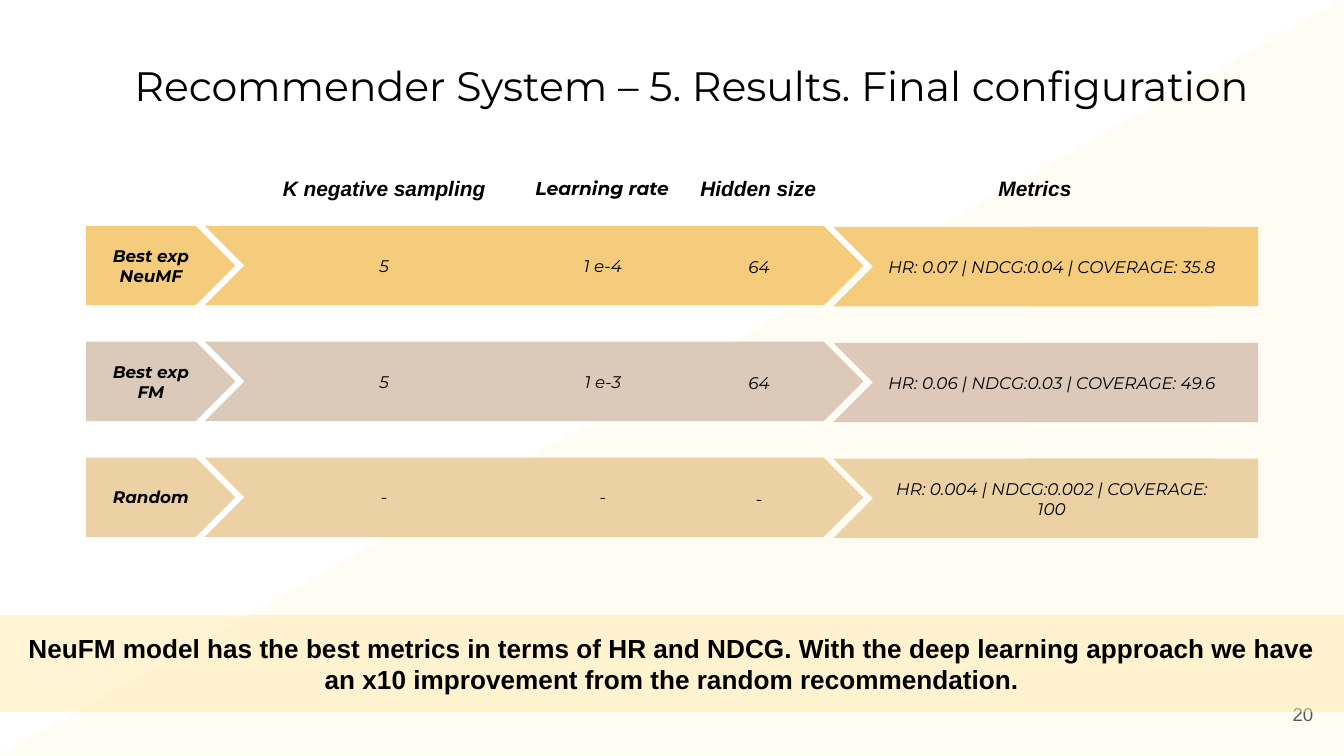
"""Build a slide comparing the final recommender configurations."""
from dataclasses import dataclass

from lxml import etree
from pptx import Presentation
from pptx.dml.color import RGBColor
from pptx.enum.shapes import MSO_SHAPE
from pptx.enum.text import MSO_ANCHOR, MSO_AUTO_SIZE, PP_ALIGN
from pptx.oxml.ns import qn
from pptx.util import Cm, Pt

TRIANGLE = MSO_SHAPE.RIGHT_TRIANGLE
PENTAGON = MSO_SHAPE.PENTAGON
CHEVRON = MSO_SHAPE.CHEVRON
RECTANGLE = MSO_SHAPE.RECTANGLE
TOP, MIDDLE = MSO_ANCHOR.TOP, MSO_ANCHOR.MIDDLE
LEFT, CENTER, RIGHT = PP_ALIGN.LEFT, PP_ALIGN.CENTER, PP_ALIGN.RIGHT
NO_AUTOFIT = MSO_AUTO_SIZE.NONE

BLACK = RGBColor(0x00, 0x00, 0x00)
GRAY = RGBColor(0x59, 0x59, 0x59)
IVORY = RGBColor(0xFF, 0xFC, 0xF4)
CREAM = RGBColor(0xFF, 0xEA, 0xAB)
AMBER = RGBColor(0xF5, 0xCB, 0x7C)
TAUPE = RGBColor(0xDB, 0xCA, 0xB9)
ROSE = RGBColor(0xDD, 0xC8, 0xB9)
DUSTY_ROSE = RGBColor(0xDC, 0xC9, 0xB9)
SAND = RGBColor(0xEB, 0xD1, 0xA3)

SANS, DISPLAY = "Arial", "Montserrat"
ROW_TOP, ROW_PITCH, ROW_HEIGHT = 4.27, 2.19, 1.5
HEADER_TOP, HEADER_WIDTH, HEADER_HEIGHT = 3.03, 4.52, 1.04
VALUE_COLUMNS = ((4.39, 5.74, 0), (9.78, 3.23, 0), (12.73, 3.23, 0.03), (16.41, 6.93, 0.03))


@dataclass(frozen=True)
class Header:
    text: str
    left: float
    font: str = SANS
    size: float = 11.2


@dataclass(frozen=True)
class Experiment:
    name: str
    values: tuple[str, ...]
    color: RGBColor
    metrics_color: RGBColor
    end_color: RGBColor


HEADERS = (
    Header("K negative sampling", 5.0),
    Header("Learning rate", 9.12, DISPLAY, 10),
    Header("Hidden size", 12.07),
    Header("Metrics", 17.3),
)
EXPERIMENTS = (
    Experiment("Best exp NeuMF", ("5", "1 e-4", "64", "HR: 0.07 | NDCG:0.04 | COVERAGE: 35.8"),
               AMBER, AMBER, AMBER),
    Experiment("Best exp\nFM", ("5", "1 e-3", "64", "HR: 0.06 | NDCG:0.03 | COVERAGE: 49.6"),
               TAUPE, ROSE, DUSTY_ROSE),
    Experiment("Random", ("-", "-", "-", "HR: 0.004 | NDCG:0.002 | COVERAGE: 100"),
               SAND, SAND, SAND),
)


def write(box, text: str, *, size: float, font: str = DISPLAY, color: RGBColor = BLACK,
          bold: bool = False, italic: bool = False, align=CENTER, anchor=MIDDLE,
          inset_x: float = 0.25, inset_y: float = 0.13) -> None:
    frame = box.text_frame
    frame.text = text
    frame.word_wrap = True
    frame.auto_size = NO_AUTOFIT
    frame.vertical_anchor = anchor
    frame.margin_left = frame.margin_right = Cm(inset_x)
    frame.margin_top = frame.margin_bottom = Cm(inset_y)
    for para in frame.paragraphs:
        para.alignment = align
        for span in para.runs:
            span.font.name = font
            span.font.size = Pt(size)
            span.font.bold = bold
            span.font.italic = italic
            span.font.color.rgb = color


def add_block(shapes, kind, left: float, top: float, width: float, height: float,
              color: RGBColor):
    block = shapes.add_shape(kind, Cm(left), Cm(top), Cm(width), Cm(height))
    block.shadow.inherit = False
    block.fill.solid()
    block.fill.fore_color.rgb = color
    block.line.fill.background()
    return block


def add_label(shapes, text: str, left: float, top: float, width: float, height: float,
              **text_format) -> None:
    box = shapes.add_textbox(Cm(left), Cm(top), Cm(width), Cm(height))
    write(box, text, **text_format)


def add_experiment(page, experiment: Experiment, top: float) -> None:
    shapes = page.shapes.add_group_shape().shapes
    plate = add_block(shapes, PENTAGON, 1.63, top, 2.82, ROW_HEIGHT, experiment.color)
    write(plate, experiment.name, size=9, bold=True, italic=True, inset_x=0.18, inset_y=0.1)
    add_block(shapes, CHEVRON, 3.87, top, 12.45, ROW_HEIGHT, experiment.color)
    add_block(shapes, CHEVRON, 15.75, top + 0.02, 7.92, ROW_HEIGHT, experiment.metrics_color)
    add_block(shapes, RECTANGLE, 19.41, top + 0.02, 4.37, ROW_HEIGHT, experiment.end_color)
    for value, (left, width, drop) in zip(experiment.values, VALUE_COLUMNS):
        add_label(shapes, value, left, top + drop, width, ROW_HEIGHT, size=9, italic=True)


def main() -> None:
    deck = Presentation()
    deck.slide_width, deck.slide_height = Cm(25.4), Cm(14.29)
    page = deck.slides.add_slide(deck.slide_layouts[5])

    backdrop = add_block(page.shapes, TRIANGLE, 0, -0.02, 25.4, 14.29, IVORY)
    backdrop._element.spPr.find(qn("a:xfrm")).set("flipH", "1")
    page.shapes._spTree.insert(2, backdrop._element)

    title = page.shapes.title
    title.left, title.top, title.width, title.height = Cm(2.29), Cm(0.89), Cm(22.2), Cm(1.45)
    write(title, "Recommender System – 5. Results. Final configuration", size=22,
          align=LEFT, anchor=TOP, inset_y=0.25)
    add_label(page.shapes, "20", 23.55, 12.95, 1.52, 1.09, size=10, font=SANS, color=GRAY,
              align=RIGHT, inset_y=0.25)

    for header in HEADERS:
        add_label(page.shapes, header.text, header.left, HEADER_TOP, HEADER_WIDTH,
                  HEADER_HEIGHT, size=header.size, font=header.font, bold=True, italic=True)
    for index, experiment in enumerate(EXPERIMENTS):
        add_experiment(page, experiment, ROW_TOP + index * ROW_PITCH)

    banner = add_block(page.shapes, RECTANGLE, 0, 11.63, 25.4, 1.83, CREAM)
    tint = banner._element.spPr.find(qn("a:solidFill"))[0]
    etree.SubElement(tint, qn("a:alpha")).set("val", "50000")
    write(banner, "NeuFM model has the best metrics in terms of HR and NDCG. With the deep "
          "learning approach we have an x10 improvement from the random recommendation.",
          size=14, font=SANS, bold=True)
    deck.save("out.pptx")


if __name__ == "__main__":
    main()
